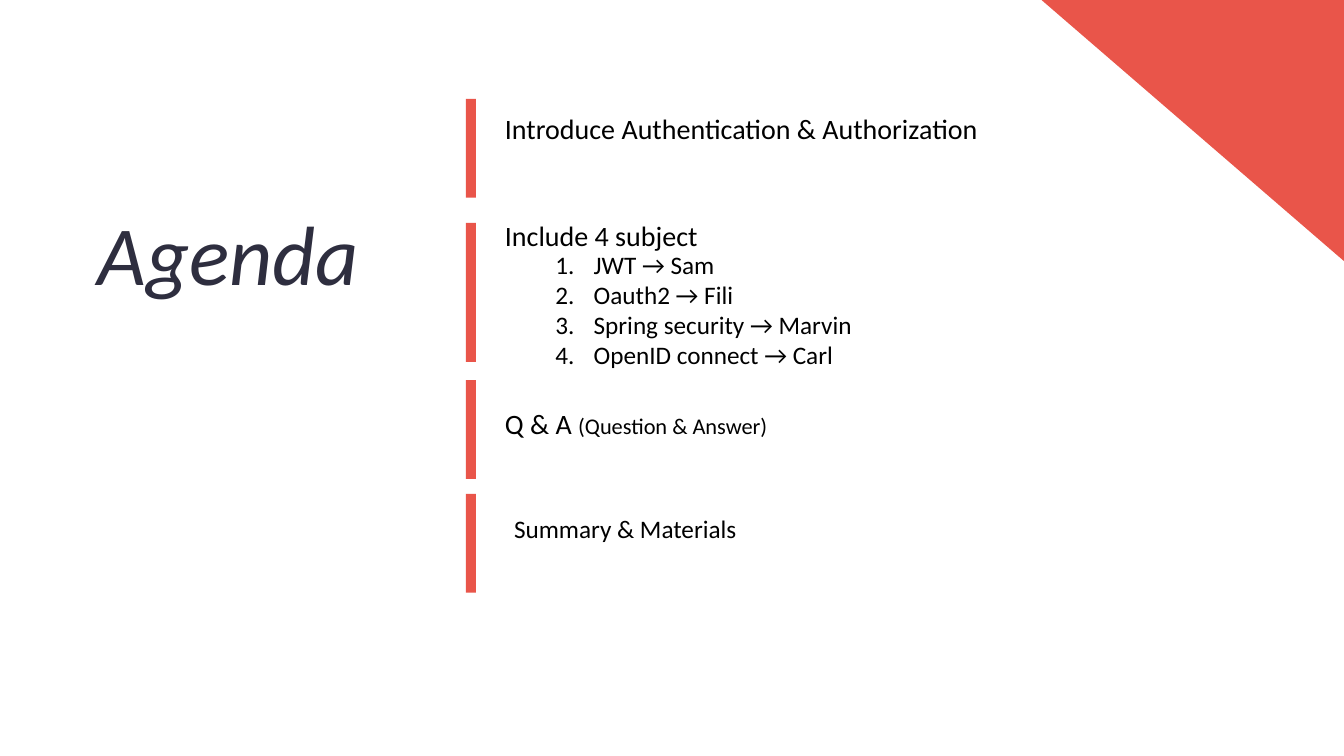
from pptx import Presentation
from pptx.dml.color import RGBColor
from pptx.enum.shapes import MSO_SHAPE
from pptx.oxml.ns import qn
from pptx.util import Inches, Pt
from lxml import etree

COLORS = {"accent": "E9554A", "title": "2E2E3F", "text": "000000"}
FONT = "Calibri"
BAR_LEFT, BAR_WIDTH = 4.62, 0.1
TEXT_LEFT = 4.91

# Top and height of the bar beside each agenda item
BARS = [(0.98, 0.98), (2.21, 1.38), (3.77, 0.98), (4.9, 0.98)]

# Left, top, width, height and (text, size) runs of each agenda item
ITEMS = [
    (TEXT_LEFT, 1.06, 5.1, 0.77, [("Introduce Authentication & Authorization", 20)]),
    (TEXT_LEFT, 2.12, 4.91, 0.77, [("Include 4 subject", 20)]),
    (TEXT_LEFT, 3.98, 3.51, 0.44, [("Q & A ", 20), ("(Question & Answer)", 16)]),
    (5, 5.04, 4.92, 0.71, [("Summary & Materials", 18)]),
]
SUBJECTS = [
    "JWT → Sam",
    "Oauth2 → Fili",
    "Spring security → Marvin",
    "OpenID connect → Carl",
]


def add_accent(s, kind, left, top, width, height):
    sp = s.shapes.add_shape(kind, Inches(left), Inches(top), Inches(width), Inches(height))
    sp.shadow.inherit = False
    sp.fill.solid()
    sp.fill.fore_color.rgb = RGBColor.from_string(COLORS["accent"])
    sp.line.fill.background()
    return sp


def add_text_frame(s, left, top, width, height):
    tf = s.shapes.add_textbox(Inches(left), Inches(top), Inches(width), Inches(height)).text_frame
    tf.word_wrap = True
    return tf


def add_run(p, text, size, color="text", italic=False):
    r = p.add_run()
    r.text = text
    r.font.name = FONT
    r.font.size = Pt(size)
    r.font.italic = italic
    r.font.color.rgb = RGBColor.from_string(COLORS[color])


def number_paragraph(p):
    """Turn p into a second-level item of an automatically numbered list."""
    p.level = 1
    pPr = p._p.get_or_add_pPr()
    pPr.set("marL", str(Inches(0.88)))
    pPr.set("indent", str(Inches(-0.38)))
    etree.SubElement(pPr, qn("a:buFont"), typeface="+mj-lt")
    etree.SubElement(pPr, qn("a:buAutoNum"), type="arabicPeriod")


def add_corner(s):
    corner = add_accent(s, MSO_SHAPE.ISOSCELES_TRIANGLE, 10.33, 0, 3, 2.59)
    corner.adjustments[0] = 0
    corner.rotation = 180


def add_title(s):
    p = add_text_frame(s, 0.87, 1.81, 6.7, 1.16).paragraphs[0]
    p.line_spacing = 1.14
    add_run(p, "Agenda", 60, "title", italic=True)


def add_subjects(s):
    tf = add_text_frame(s, TEXT_LEFT, 2.42, 4.92, 1.31)
    for i, subject in enumerate(SUBJECTS):
        p = tf.add_paragraph() if i else tf.paragraphs[0]
        number_paragraph(p)
        add_run(p, subject, 18)


def main():
    prs = Presentation()
    prs.slide_width, prs.slide_height = Inches(13.33), Inches(7.5)
    s = prs.slides.add_slide(prs.slide_layouts[6])
    add_corner(s)
    add_title(s)
    for top, height in BARS:
        add_accent(s, MSO_SHAPE.RECTANGLE, BAR_LEFT, top, BAR_WIDTH, height)
    for left, top, width, height, runs in ITEMS:
        p = add_text_frame(s, left, top, width, height).paragraphs[0]
        for text, size in runs:
            add_run(p, text, size)
    add_subjects(s)
    prs.save("out.pptx")


if __name__ == "__main__":
    main()
